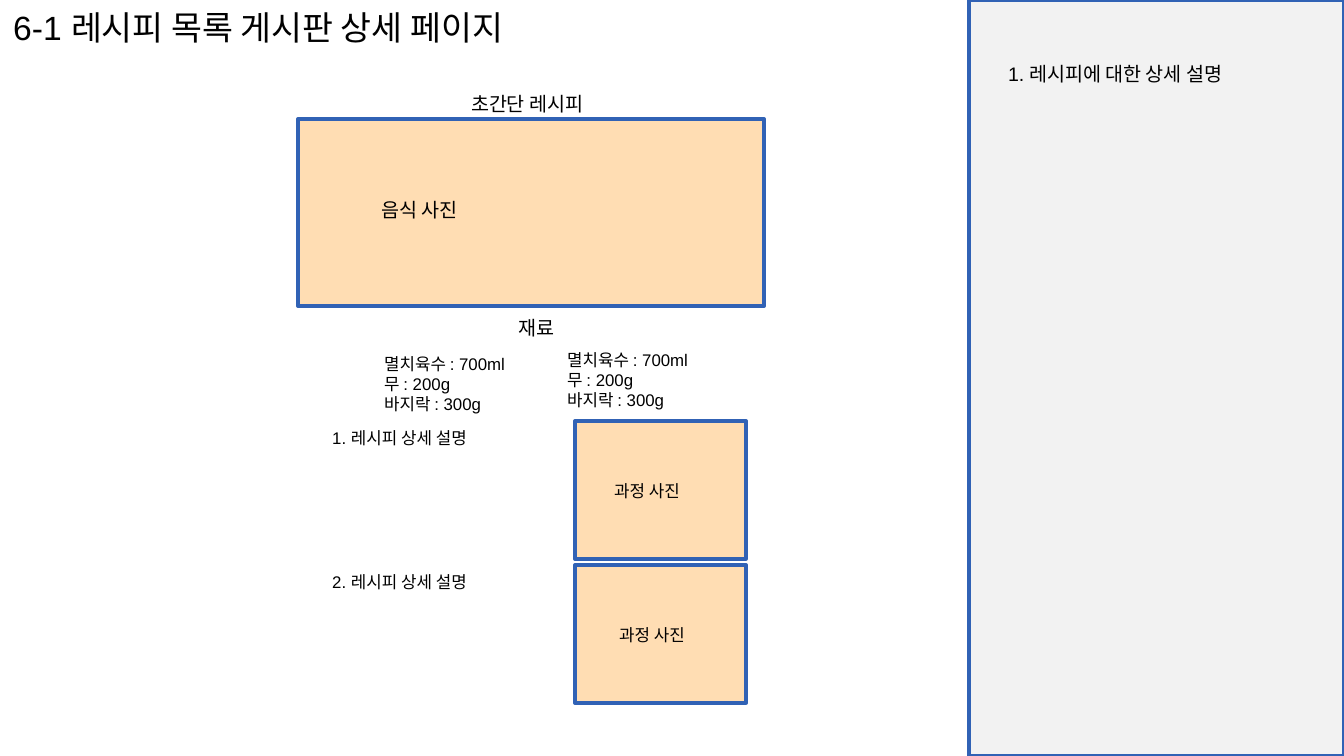
from dataclasses import dataclass

from pptx import Presentation
from pptx import util as u
from pptx.dml.color import RGBColor
from pptx.enum import shapes, text

EMU_PER_PX = 914400 / 134.4
PAGE_WIDTH, PAGE_HEIGHT = 1344, 756


@dataclass(frozen=True)
class Theme:
    font: str = "Arial"
    ink: str = "000000"
    photo: str = "FFDDB3"
    panel: str = "F2F2F2"
    border: str = "3162B5"
    border_width: float = 2
    title: float = 18
    body: float = 10.5
    small: float = 9


THEME = Theme()


def px(length):
    return u.Emu(round(length * EMU_PER_PX))


def add_frame(page, left, top, width, height, fill):
    """Draw a bordered rectangle."""
    frame = page.shapes.add_shape(
        shapes.MSO_SHAPE.RECTANGLE, px(left), px(top), px(width), px(height))
    frame.shadow.inherit = False
    frame.fill.solid()
    frame.fill.fore_color.rgb = RGBColor.from_string(fill)
    frame.line.color.rgb = RGBColor.from_string(THEME.border)
    frame.line.width = u.Pt(THEME.border_width)


def add_text(page, left, top, width, height, lines, size, justified=False):
    """Write one paragraph per line; justified boxes also wrap."""
    box = page.shapes.add_textbox(px(left), px(top), px(width), px(height))
    box.text_frame.word_wrap = justified
    box.text_frame.auto_size = text.MSO_AUTO_SIZE.SHAPE_TO_FIT_TEXT
    box.text_frame.text = "\n".join(lines)
    for para in box.text_frame.paragraphs:
        para.alignment = text.PP_ALIGN.JUSTIFY if justified else text.PP_ALIGN.LEFT
        para.font.name = THEME.font
        para.font.size = u.Pt(size)
        para.font.color.rgb = RGBColor.from_string(THEME.ink)


def add_step(page, number, top, caption_left):
    """Place a numbered description beside its photo frame."""
    add_text(page, 319, top, 177, 34, [f"{number}. 레시피 상세 설명"], THEME.small)
    add_frame(page, 575, top, 171, 138, THEME.photo)
    add_text(page, caption_left, top + 53, 120, 34, ["과정 사진"],
             THEME.small, justified=True)


def main():
    deck = Presentation()
    deck.slide_width, deck.slide_height = px(PAGE_WIDTH), px(PAGE_HEIGHT)
    page = deck.slides.add_slide(deck.slide_layouts[6])

    # Recipe heading and main photo
    add_frame(page, 298, 119, 466, 187, THEME.photo)
    add_text(page, 458, 85, 153, 38, ["초간단 레시피"], THEME.body)
    add_text(page, 368, 191, 328, 38, ["음식 사진"], THEME.body, justified=True)

    # Ingredients in two columns
    add_text(page, 505, 309, 67, 38, ["재료"], THEME.body)
    ingredients = ["멸치육수 : 700ml", "무 : 200g", "바지락 : 300g"]
    for left, top in ((371, 347), (554, 343)):
        add_text(page, left, top, 157, 75, ingredients, THEME.small)

    # Cooking steps
    for index, caption_left in enumerate((601, 606)):
        add_step(page, index + 1, 421 + 144 * index, caption_left)

    # Description panel
    add_frame(page, 969, 0, PAGE_WIDTH - 969, PAGE_HEIGHT, THEME.panel)
    add_text(page, 995, 55, 269, 38, ["1. 레시피에 대한 상세 설명"], THEME.body)

    # Page title
    add_text(page, 0, 0, 579, 54, ["6-1 레시피 목록 게시판 상세 페이지"], THEME.title)

    deck.save("out.pptx")


if __name__ == "__main__":
    main()
